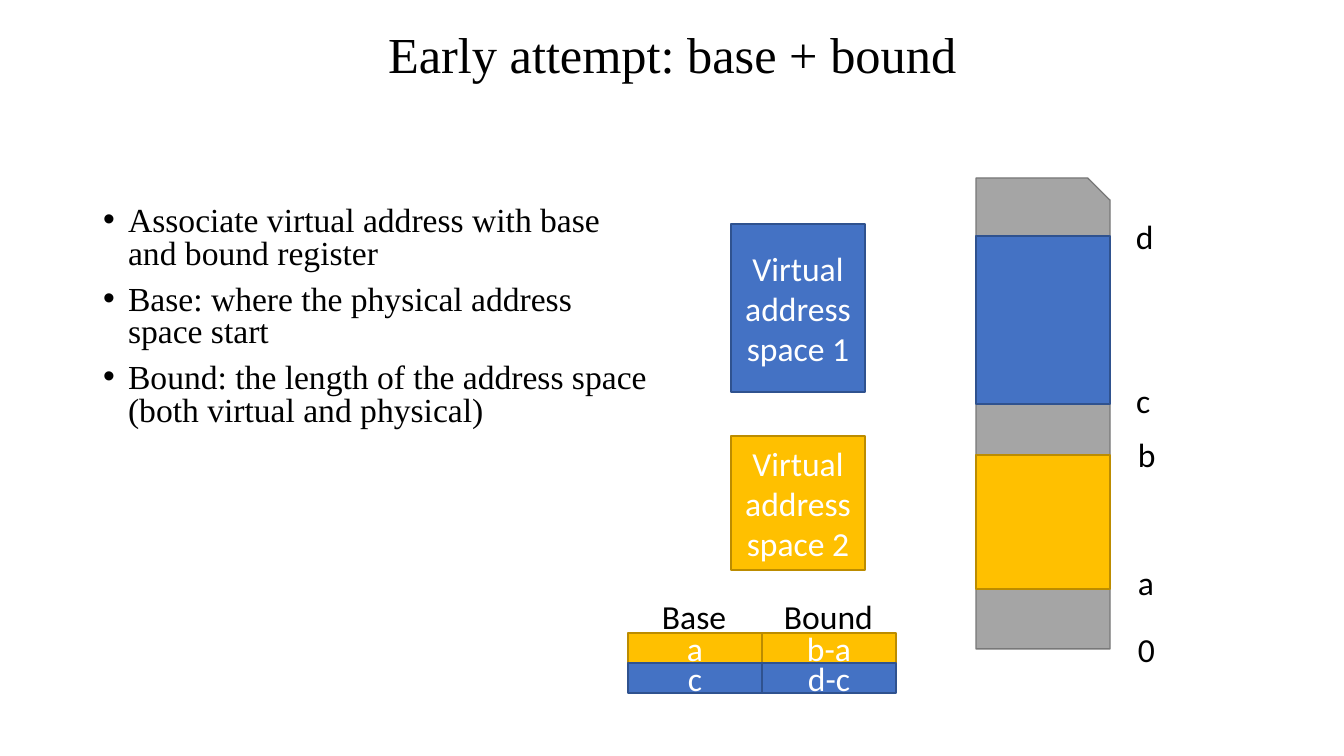
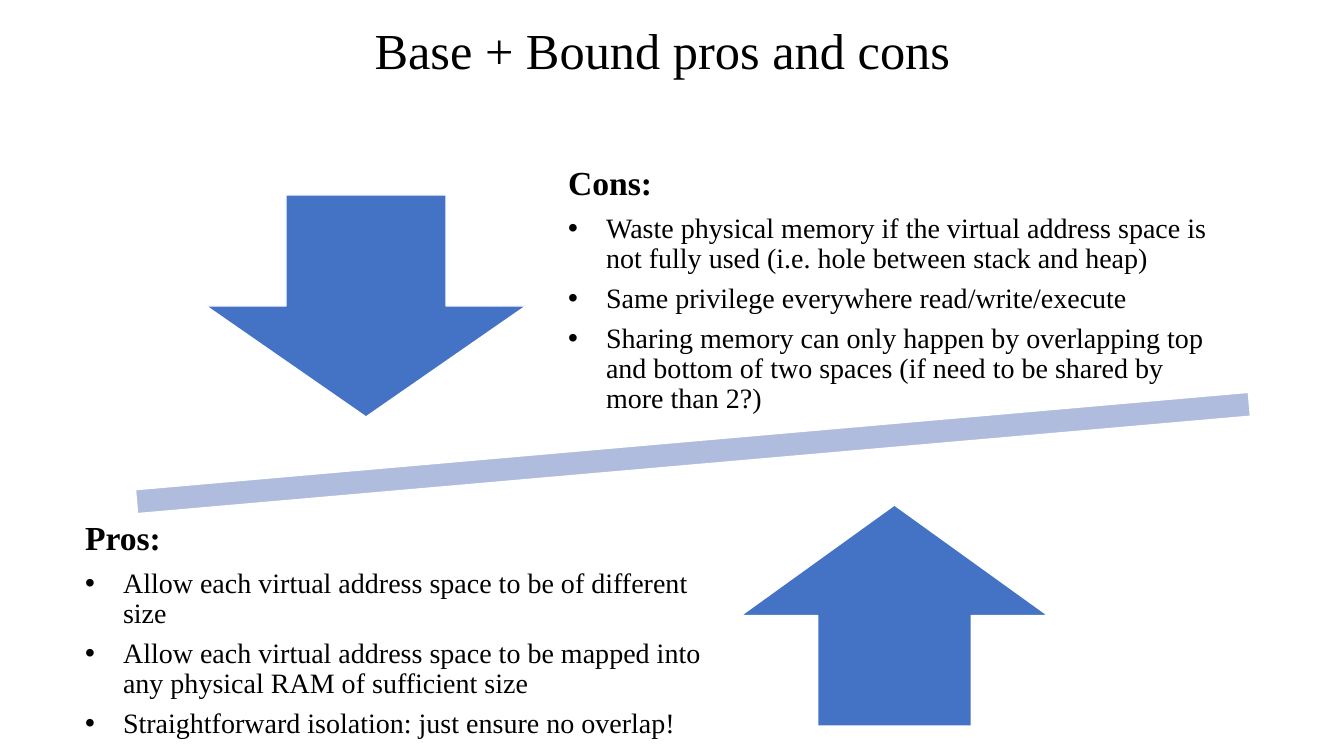
"""Build two slides on base and bound address translation."""
from dataclasses import dataclass

from lxml.etree import SubElement
from pptx import Presentation
from pptx.dml.color import RGBColor
from pptx.enum.shapes import MSO_SHAPE as Preset
from pptx.enum.text import MSO_ANCHOR as Anchor, MSO_AUTO_SIZE as AutoSize, PP_ALIGN as Align
from pptx.oxml.ns import qn
from pptx.shapes.autoshape import Shape
from pptx.slide import Slide
from pptx.text.text import TextFrame, _Paragraph as Paragraph
from pptx.util import Emu, Pt

EMU_PER_PIXEL = 914400 / 100.8
SERIF, SANS = "Times New Roman", "Calibri"
COLORS = {
    "black": "000000",
    "white": "FFFFFF",
    "blue": "4472C4",
    "blue_edge": "2F528F",
    "gold": "FFC000",
    "gold_edge": "BC8C00",
    "gray": "A5A5A5",
    "gray_edge": "787878",
    "pale_blue": "B0BCDE",
}


@dataclass(frozen=True)
class Box:
    left: int
    top: int
    width: int
    height: int


@dataclass(frozen=True)
class Block:
    box: Box
    fill: str
    edge: str
    text: str = ""
    preset: Preset = Preset.RECTANGLE
    rotation: int = 0


@dataclass(frozen=True)
class Label:
    text: str
    box: Box


@dataclass(frozen=True)
class ListStyle:
    size: int
    indent: int
    line_spacing: float
    before: float = 0
    after: float = 0


@dataclass(frozen=True)
class Argument:
    heading: str
    items: tuple[str, ...]
    box: Box


REGISTER_LIST = ListStyle(24, 25, 0.8, before=10)
ARGUMENT_HEADING = ListStyle(24, 0, 0.9, after=8.4)
ARGUMENT_LIST = ListStyle(20, 38, 0.9, after=7)


def pixels(value: float) -> Emu:
    return Emu(round(value * EMU_PER_PIXEL))


def corners(box: Box) -> tuple[Emu, ...]:
    return tuple(pixels(value) for value in (box.left, box.top, box.width, box.height))


def color(name: str) -> RGBColor:
    return RGBColor.from_string(COLORS[name])


def place(shape: Shape, box: Box) -> None:
    shape.left, shape.top, shape.width, shape.height = corners(box)


def set_insets(frame: TextFrame, across: int, down: int) -> None:
    frame.margin_left = frame.margin_right = pixels(across)
    frame.margin_top = frame.margin_bottom = pixels(down)


def add_run(paragraph: Paragraph, text: str, size: int, font: str,
            color_name: str = "black", bold: bool = False) -> None:
    run = paragraph.add_run()
    run.text = text
    run.font.size = Pt(size)
    run.font.name = font
    run.font.bold = bold
    run.font.color.rgb = color(color_name)


def add_title(slide: Slide, text: str, box: Box) -> None:
    title = slide.shapes.title
    place(title, box)
    frame = title.text_frame
    frame.auto_size = AutoSize.NONE
    frame.vertical_anchor = Anchor.MIDDLE
    paragraph = frame.paragraphs[0]
    paragraph.alignment = Align.CENTER
    paragraph.line_spacing = 0.9
    add_run(paragraph, text, 36, SERIF)


def open_body(shape: Shape, box: Box, anchor: Anchor) -> TextFrame:
    place(shape, box)
    frame = shape.text_frame
    frame.word_wrap = True
    frame.auto_size = AutoSize.NONE
    frame.vertical_anchor = anchor
    return frame


def format_line(paragraph: Paragraph, text: str, style: ListStyle, heading: bool = False) -> None:
    paragraph.alignment = Align.LEFT
    paragraph.line_spacing = style.line_spacing
    paragraph.space_before = Pt(style.before)
    paragraph.space_after = Pt(style.after)
    properties = paragraph._p.get_or_add_pPr()
    properties.set("marL", str(pixels(style.indent)))
    properties.set("indent", str(pixels(-style.indent)))
    if heading:
        SubElement(properties, qn("a:buNone"))
    else:
        SubElement(properties, qn("a:buChar")).set("char", "•")
    add_run(paragraph, text, style.size, SERIF, bold=heading)


def add_items(frame: TextFrame, items: tuple[str, ...], style: ListStyle) -> None:
    for item in items:
        first_is_free = not frame.paragraphs[0].runs
        paragraph = frame.paragraphs[0] if first_is_free else frame.add_paragraph()
        format_line(paragraph, item, style)


def add_argument(shape: Shape, argument: Argument) -> None:
    frame = open_body(shape, argument.box, Anchor.MIDDLE)
    set_insets(frame, 16, 16)
    format_line(frame.paragraphs[0], argument.heading, ARGUMENT_HEADING, heading=True)
    add_items(frame, argument.items, ARGUMENT_LIST)


def add_block(slide: Slide, block: Block) -> None:
    shape = slide.shapes.add_shape(block.preset, *corners(block.box))
    shape.shadow.inherit = False
    shape.rotation = block.rotation
    shape.fill.solid()
    shape.fill.fore_color.rgb = color(block.fill)
    shape.line.color.rgb = color(block.edge)
    shape.line.width = Pt(1)
    if block.text:
        frame = shape.text_frame
        frame.word_wrap = True
        frame.vertical_anchor = Anchor.MIDDLE
        set_insets(frame, 13, 7)
        paragraph = frame.paragraphs[0]
        paragraph.alignment = Align.CENTER
        add_run(paragraph, block.text, 24, SANS, "white")


def add_label(slide: Slide, label: Label) -> None:
    frame = slide.shapes.add_textbox(*corners(label.box)).text_frame
    frame.word_wrap = False
    frame.auto_size = AutoSize.SHAPE_TO_FIT_TEXT
    set_insets(frame, 13, 7)
    add_run(frame.paragraphs[0], label.text, 24, SANS)


def build_early_attempt(presentation: Presentation) -> None:
    slide = presentation.slides.add_slide(presentation.slide_layouts[1])
    add_title(slide, "Early attempt: base + bound", Box(93, 11, 1159, 93))
    body = open_body(slide.placeholders[1], Box(93, 202, 572, 480), Anchor.TOP)
    add_items(body, (
        "Associate virtual address with base and bound register",
        "Base: where the physical address space start",
        "Bound: the length of the address space (both virtual and physical)",
    ), REGISTER_LIST)

    column, virtual_left, memory_left = 134, 731, 976
    blue, gold = ("blue", "blue_edge"), ("gold", "gold_edge")
    blocks = [
        Block(Box(virtual_left, 224, column, 168), *blue, "Virtual address space 1"),
        Block(Box(virtual_left, 436, column, 134), *gold, "Virtual address space 2"),
        Block(Box(memory_left, 178, column, 471), "gray", "gray_edge",
              preset=Preset.SNIP_1_RECTANGLE),
        Block(Box(memory_left, 455, column, 134), *gold),
        Block(Box(memory_left, 236, column, 168), *blue),
    ]
    registers = ((gold, ("a", "b-a")), (blue, ("c", "d-c")))
    for row, (palette, values) in enumerate(registers):
        for place_in_row, value in enumerate(values):
            cell = Box(628 + place_in_row * column, 633 + row * 30, column, 30)
            blocks.append(Block(cell, *palette, value))
    for block in blocks:
        add_block(slide, block)

    labels = (
        Label("0", Box(1125, 622, 44, 54)),
        Label("a", Box(1125, 555, 43, 54)),
        Label("b", Box(1125, 427, 45, 54)),
        Label("c", Box(1123, 373, 41, 54)),
        Label("d", Box(1123, 209, 45, 54)),
        Label("Base", Box(649, 589, 92, 54)),
        Label("Bound", Box(771, 589, 117, 54)),
    )
    for label in labels:
        add_label(slide, label)


def build_pros_and_cons(presentation: Presentation) -> None:
    slide = presentation.slides.add_slide(presentation.slide_layouts[3])
    add_title(slide, "Base + Bound pros and cons", Box(83, -2, 1159, 110))
    cons = Argument("Cons:", (
        "Waste physical memory if the virtual address space is not fully used "
        "(i.e. hole between stack and heap)",
        "Same privilege everywhere read/write/execute",
        "Sharing memory can only happen by overlapping top and bottom of two spaces "
        "(if need to be shared by more than 2?)",
    ), Box(552, 165, 675, 251))
    pros = Argument("Pros:", (
        "Allow each virtual address space to be of different size",
        "Allow each virtual address space to be mapped into any physical RAM of sufficient size",
        "Straightforward isolation: just ensure no overlap!",
    ), Box(69, 505, 675, 251))
    for index, argument in enumerate((cons, pros), start=1):
        add_argument(slide.placeholders[index], argument)

    balance = (
        Block(Box(-67, 402, 1520, 102), "pale_blue", "white",
              preset=Preset.MATH_MINUS, rotation=355),
        Block(Box(206, 195, 320, 222), "blue", "white", preset=Preset.DOWN_ARROW),
        Block(Box(741, 505, 307, 221), "blue", "white", preset=Preset.UP_ARROW),
    )
    for block in balance:
        add_block(slide, block)


def main() -> None:
    presentation = Presentation()
    presentation.slide_width = pixels(1344)
    presentation.slide_height = pixels(756)
    build_early_attempt(presentation)
    build_pros_and_cons(presentation)
    presentation.save("out.pptx")


main()
